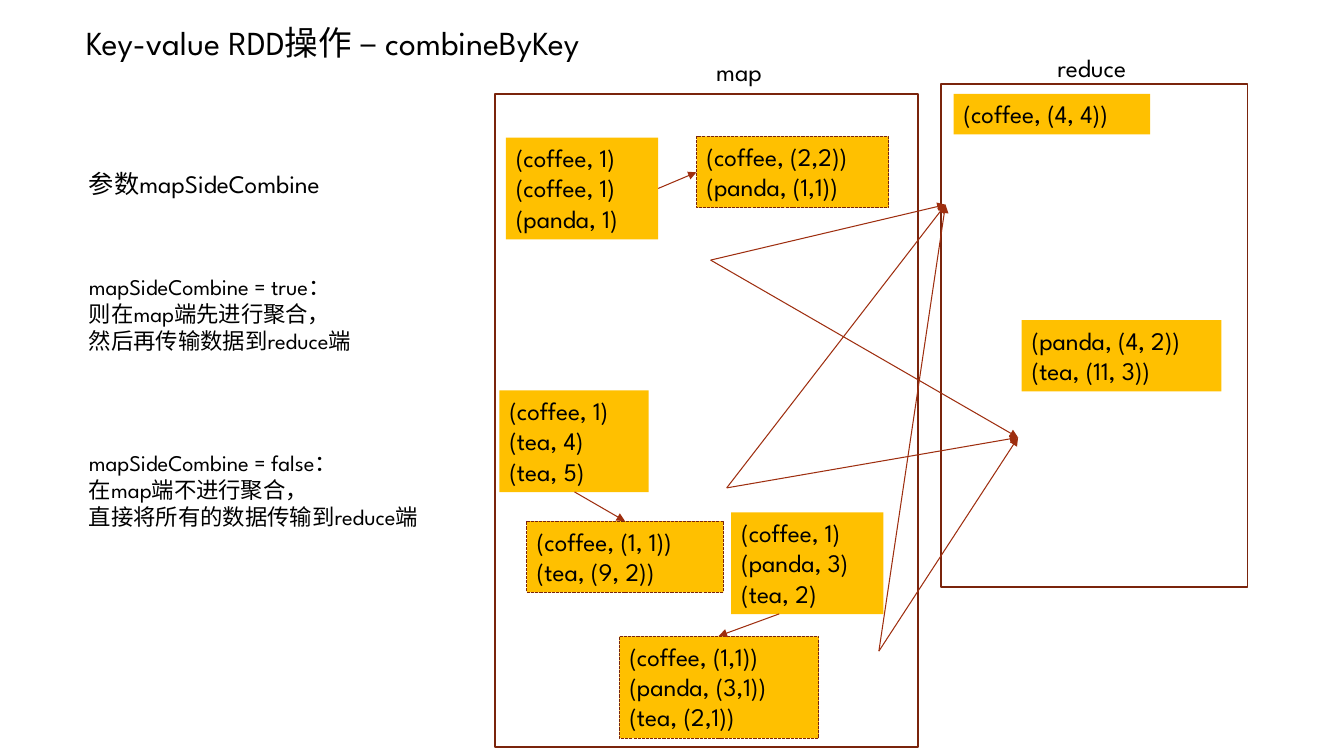
from lxml import etree
from pptx import Presentation
from pptx.dml.color import RGBColor
from pptx.enum.dml import MSO_LINE
from pptx.enum.shapes import MSO_CONNECTOR, MSO_SHAPE
from pptx.enum.text import MSO_ANCHOR, MSO_AUTO_SIZE, PP_ALIGN
from pptx.oxml.ns import qn
from pptx.util import Pt

FONT = "League Spartan"
BLACK, AMBER, DARK_RED, ARROW_RED = "000000", "FFC000", "7A240C", "9E2E0F"

prs = Presentation()
prs.slide_width, prs.slide_height = Pt(960), Pt(540)
s = prs.slides.add_slide(prs.slide_layouts[6])


def rgb(color):
    return RGBColor.from_string(color)


def write(sp, lines, size=18):
    tf = sp.text_frame
    tf.word_wrap = False
    tf.auto_size = MSO_AUTO_SIZE.SHAPE_TO_FIT_TEXT
    tf.vertical_anchor = MSO_ANCHOR.TOP
    tf.text = "\n".join(lines)
    for p in tf.paragraphs:
        p.alignment = PP_ALIGN.LEFT
        p.font.name, p.font.size = FONT, Pt(size)
        p.font.color.rgb = rgb(BLACK)


# Title, labels and explanations
texts = [
    (54.2, 12.2, 438.5, 36.4, 24, ["Key-value RDD操作 – combineByKey"]),
    (56.4, 116.6, 212.4, 29.1, 18, ["参数mapSideCombine"]),
    (504.5, 36.7, 56.2, 29.1, 18, ["map"]),
    (748.3, 33.8, 79.2, 29.1, 18, ["reduce"]),
    (56.4, 191.5, 223.9, 65.5, 16,
     ["mapSideCombine = true：", "则在map端先进行聚合，", "然后再传输数据到reduce端"]),
    (56.4, 317.5, 265.7, 65.5, 16,
     ["mapSideCombine = false：", "在map端不进行聚合，", "直接将所有的数据传输到reduce端"]),
]
for x, y, w, h, size, lines in texts:
    write(s.shapes.add_textbox(Pt(x), Pt(y), Pt(w), Pt(h)), lines, size)

# Record boxes: plain for input and reduced data, dashed outline for combined data
records = [
    (361.4, 98.3, 108.7, False, ["(coffee, 1)", "(coffee, 1)", "(panda, 1)"]),
    (356.7, 278.9, 106.6, False, ["(coffee, 1)", "(tea, 4)", "(tea, 5)"]),
    (522.3, 366, 108.7, False, ["(coffee, 1)", "(panda, 3)", "(tea, 2)"]),
    (681.1, 67, 140.4, False, ["(coffee, (4, 4))"]),
    (729.8, 228.7, 142.6, False, ["(panda, (4, 2))", "(tea, (11, 3))"]),
    (497.5, 97.5, 137.5, True, ["(coffee, (2,2))", "(panda, (1,1))"]),
    (376.3, 372.2, 140.4, True, ["(coffee, (1, 1))", "(tea, (9, 2))"]),
    (442.4, 454.5, 142.6, True, ["(coffee, (1,1))", "(panda, (3,1))", "(tea, (2,1))"]),
]
for x, y, w, dashed, lines in records:
    h = 7.2 + 21.85 * len(lines)
    sp = s.shapes.add_shape(MSO_SHAPE.RECTANGLE, Pt(x), Pt(y), Pt(w), Pt(h))
    sp.shadow.inherit = False
    sp.fill.solid()
    sp.fill.fore_color.rgb = rgb(AMBER)
    if dashed:
        sp.line.color.rgb = rgb(DARK_RED)
        sp.line.width = Pt(0.75)
        sp.line.dash_style = MSO_LINE.SQUARE_DOT
    else:
        sp.line.fill.background()
    write(sp, lines)

# Map and reduce frames
for x, y, w, h in [(353.5, 67, 302, 466.6), (672.2, 60.2, 218.9, 359.3)]:
    sp = s.shapes.add_shape(MSO_SHAPE.RECTANGLE, Pt(x), Pt(y), Pt(w), Pt(h))
    sp.shadow.inherit = False
    sp.fill.background()
    sp.line.color.rgb = rgb(DARK_RED)
    sp.line.width = Pt(1.25)

# Shuffle arrows: every map output goes to both reduce targets
sources = [(507.6, 185.8), (519.1, 348.5), (627.8, 465.1)]
targets = [(675.4, 146.2), (727.2, 312.5)]
arrows = [start + end for end in targets for start in sources]

# Combine arrows: from each input to its combined box
arrows += [
    (470.2, 134.6, 497.5, 123.1),
    (410.4, 351.4, 446.4, 372.2),
    (556.6, 438.5, 513.4, 454.3),
]

for ends in arrows:
    arrow = s.shapes.add_connector(MSO_CONNECTOR.STRAIGHT, *map(Pt, ends))
    arrow.line.color.rgb = rgb(ARROW_RED)
    arrow.line.width = Pt(0.75)
    etree.SubElement(arrow.line._get_or_add_ln(), qn("a:tailEnd"), type="triangle")
    etree.SubElement(arrow._element.spPr, qn("a:effectLst"))

prs.save("out.pptx")
